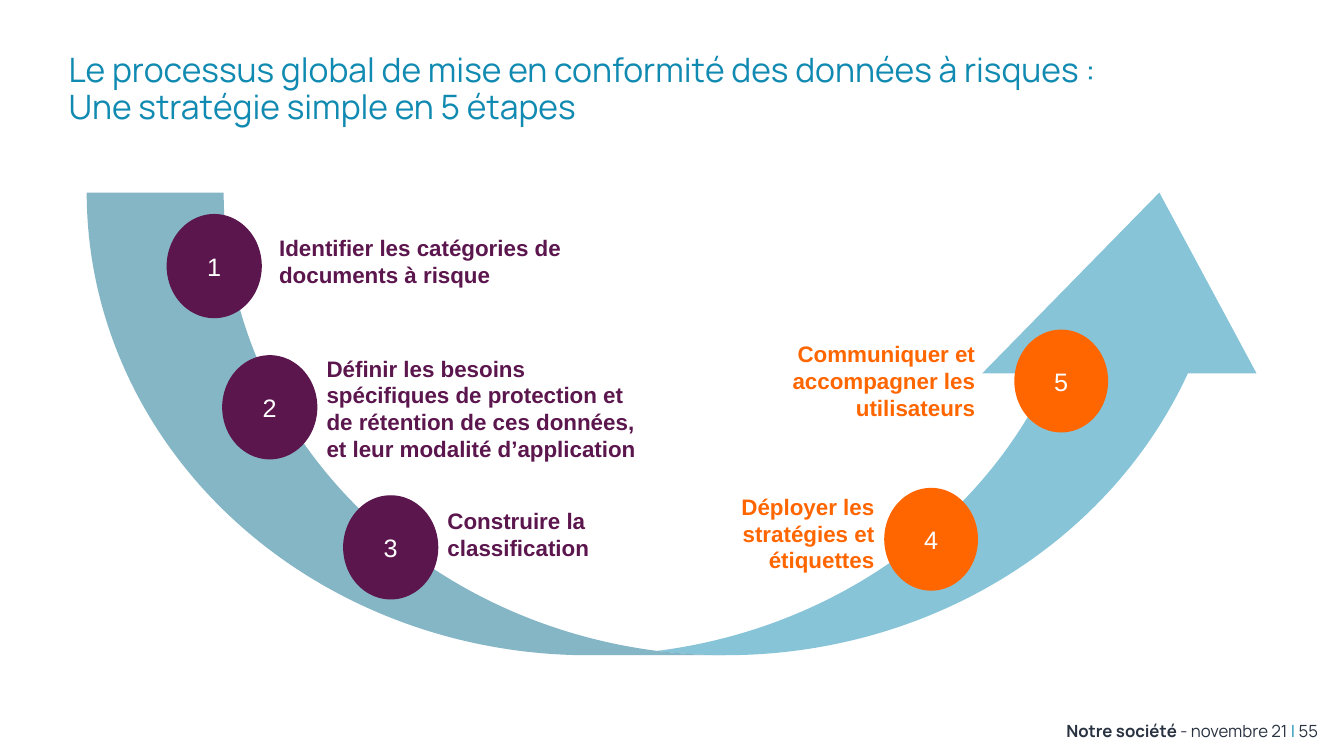
from lxml import etree
from pptx import Presentation
from pptx import util as u
from pptx.dml.color import RGBColor
from pptx.enum import shapes, text
from pptx.oxml.ns import qn

INK = {"blue": "118AB2", "plum": "5C164E", "orange": "FF6600",
       "white": "FFFFFF", "dark": "293241"}
LEFT, MID, RIGHT = text.PP_ALIGN.LEFT, text.PP_ALIGN.CENTER, text.PP_ALIGN.RIGHT

deck = Presentation()
deck.slide_width, deck.slide_height = u.Inches(13.33), u.Inches(7.5)
col, row = deck.slide_width / 100, deck.slide_height / 100
slide = deck.slides.add_slide(deck.slide_layouts[5])


def grid(x, y, wide, high):
    return [int(x * col), int(y * row), int(wide * col), int(high * row)]


def write(para, words, size=16, face="Arial", ink="dark", bold=False, align=LEFT):
    para.alignment = align
    run = para.add_run()
    run.text = words
    font = run.font
    font.size, font.name, font.bold = u.Pt(size), face, bold
    font.color.rgb = RGBColor.from_string(INK[ink])


title = slide.shapes.title
title.left, title.top, title.width, title.height = grid(4.35, 3.73, 95.65, 16.4)
frame = title.text_frame
frame.auto_size = text.MSO_AUTO_SIZE.NONE
frame.vertical_anchor = text.MSO_ANCHOR.MIDDLE
head = frame.paragraphs[0]
head.line_spacing = 0.9
look = dict(size=24, face="Manrope", ink="blue")
write(head, "Le processus global de mise en conformité des données à risques :", **look)
head.add_line_break()
write(head, "Une stratégie simple en 5 étapes", **look)

arrow = slide.shapes.add_shape(shapes.MSO_SHAPE.CURVED_UP_ARROW,
                               *grid(6.45, 25.47, 90.02, 61.2))
for i, share in enumerate((0.296, 0.593, 0.391)):
    arrow.adjustments[i] = share
arrow.shadow.inherit = False
arrow.line.fill.background()
arrow.fill.solid()
arrow.fill.fore_color.rgb = RGBColor.from_string(INK["blue"])
tint = next(arrow._element.spPr.iter(qn("a:srgbClr")))
etree.SubElement(tint, qn("a:alpha"), val="50000")

steps = [
    (12.45, 28.4, "plum", LEFT, (20.03, 30.27, 26.33, 11.87),
     "Identifier les catégories de documents à risque"),
    (16.58, 47.07, "plum", LEFT, (23.56, 46.27, 24.83, 13.2),
     "Définir les besoins spécifiques de protection et de rétention "
     "de ces données, et leur modalité d’application"),
    (25.58, 65.6, "plum", LEFT, (32.56, 66.4, 17.48, 12.67),
     "Construire la classification"),
    (65.79, 64.53, "orange", RIGHT, (48.09, 64.53, 17.7, 13.6),
     "Déployer les stratégies et étiquettes"),
    (75.47, 43.6, "orange", RIGHT, (55.36, 44.4, 17.93, 12.67),
     "Communiquer et accompagner les utilisateurs"),
]
for num, (x, y, ink, align, area, words) in enumerate(steps, 1):
    disc = slide.shapes.add_shape(shapes.MSO_SHAPE.OVAL, *grid(x, y, 6.98, 13.6))
    disc.shadow.inherit = False
    disc.fill.solid()
    disc.fill.fore_color.rgb = RGBColor.from_string(INK[ink])
    if ink == "plum":
        disc.line.color.rgb = RGBColor.from_string(INK[ink])
        disc.line.width = u.Pt(1)
    else:
        disc.line.fill.background()
    frame = disc.text_frame
    frame.margin_left = frame.margin_right = u.Inches(0.04)
    frame.margin_top = frame.margin_bottom = u.Inches(0.04)
    frame.vertical_anchor = text.MSO_ANCHOR.MIDDLE
    write(frame.paragraphs[0], str(num), size=18, ink="white", align=MID)

    label = slide.shapes.add_textbox(*grid(*area)).text_frame
    label.word_wrap = True
    write(label.paragraphs[0], words, ink=ink, bold=True, align=align)

foot = slide.shapes.add_textbox(*grid(64.07, 94.67, 34.73, 4)).text_frame
foot.word_wrap = True
for words, ink, bold in (("Notre société ", "dark", True),
                         ("- novembre 21 ", "dark", False),
                         ("| ", "blue", False),
                         ("55", "dark", False)):
    write(foot.paragraphs[0], words, size=12, face="Manrope", ink=ink,
          bold=bold, align=RIGHT)

deck.save("out.pptx")
